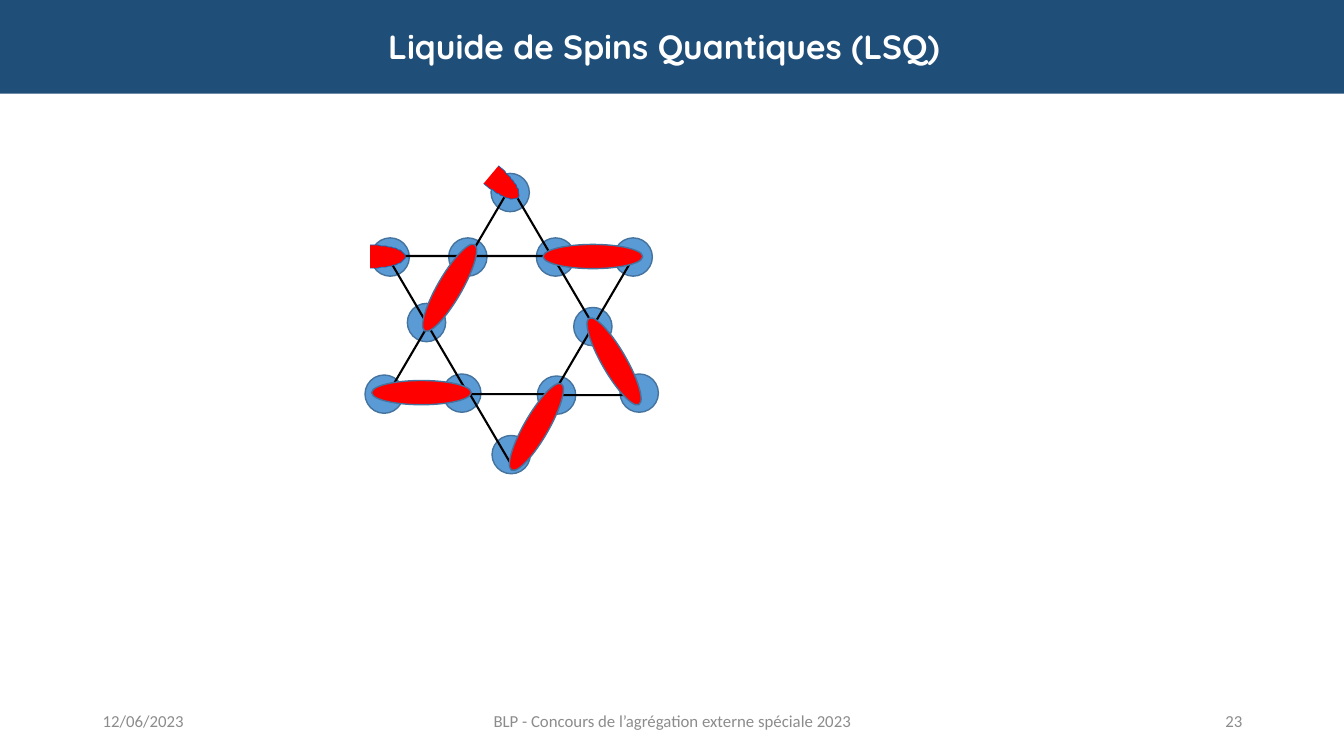
import math
from dataclasses import dataclass
from typing import NamedTuple

import pptx
import pptx.dml.color
import pptx.enum.shapes
import pptx.enum.text
import pptx.util

SHAPE = pptx.enum.shapes.MSO_SHAPE
ALIGN = pptx.enum.text.PP_ALIGN
EMU_PER_PX = 9144  # 100 px to the inch


@dataclass(frozen=True)
class Theme:
    banner: str = "1F4E79"
    white: str = "FFFFFF"
    footer: str = "8C8C8C"
    site: str = "5B9BD5"
    outline: str = "43739E"
    bond: str = "000000"
    dimer: str = "FF0000"
    cut_outline: str = "0070C0"
    title_font: str = "Quicksand"
    body_font: str = "Calibri"
    title_size: int = 24
    footer_size: int = 12


THEME = Theme()


class Box(NamedTuple):
    left: int
    top: int
    width: int
    height: int
    rotation: int = 0


class Label(NamedTuple):
    text: str
    box: Box
    align: ALIGN
    font: str
    size: int
    color: str
    bold: bool = False
    spacing: float = 1.0


def px(n: float) -> pptx.util.Emu:
    return pptx.util.Emu(round(n * EMU_PER_PX))


def rgb(color: str) -> pptx.dml.color.RGBColor:
    return pptx.dml.color.RGBColor.from_string(color)


def paint(sp, fill: str | None, line: str | None, width: float = 1) -> None:
    sp.shadow.inherit = False
    if fill:
        sp.fill.solid()
        sp.fill.fore_color.rgb = rgb(fill)
    else:
        sp.fill.background()
    if line:
        sp.line.color.rgb = rgb(line)
        sp.line.width = pptx.util.Pt(width)
    else:
        sp.line.fill.background()


def add_preset(shapes, kind: SHAPE, box: Box, fill: str | None,
               line: str | None, width: float = 1) -> None:
    sp = shapes.add_shape(kind, *map(px, box[:4]))
    sp.rotation = box.rotation
    paint(sp, fill, line, width)


def add_cut_dimer(shapes, box: Box) -> None:
    """Half an ellipse, flat on its right side before rotation."""
    steps = 40
    angles = [math.pi * i / steps for i in range(steps + 1)]
    points = [(box.left + box.width * (1 - math.sin(a)),
               box.top + box.height * (1 - math.cos(a)) / 2) for a in angles]
    builder = shapes.build_freeform(*points[0], scale=EMU_PER_PX)
    builder.add_line_segments(points[1:], close=False)
    sp = builder.convert_to_shape()
    sp.rotation = box.rotation
    paint(sp, THEME.dimer, THEME.cut_outline, 0.5)


def add_label(shapes, label: Label) -> None:
    tf = shapes.add_textbox(*map(px, label.box[:4])).text_frame
    tf.word_wrap = True
    tf.vertical_anchor = pptx.enum.text.MSO_ANCHOR.MIDDLE
    p = tf.paragraphs[0]
    p.text = label.text
    p.alignment = label.align
    p.line_spacing = label.spacing
    p.font.name = label.font
    p.font.size = pptx.util.Pt(label.size)
    p.font.bold = label.bold
    p.font.color.rgb = rgb(label.color)


FOOTER_STYLE = (THEME.body_font, THEME.footer_size, THEME.footer)
LABELS = [
    Label("12/06/2023", Box(92, 695, 300, 40), ALIGN.LEFT, *FOOTER_STYLE),
    Label("BLP - Concours de l’agrégation externe spéciale 2023",
          Box(442, 695, 450, 40), ALIGN.CENTER, *FOOTER_STYLE),
    Label("23", Box(942, 695, 300, 40), ALIGN.RIGHT, *FOOTER_STYLE),
    Label("Liquide de Spins Quantiques (LSQ)", Box(0, 8, 1317, 81), ALIGN.CENTER,
          THEME.title_font, THEME.title_size, THEME.white, True, 0.9),
]

# Top-left corners of the lattice sites
SITE_SIZE = 38
SITES = [(532, 236), (609, 236), (569, 305), (615, 371), (533, 373), (488, 432),
         (439, 371), (362, 372), (404, 301), (368, 236), (487, 172), (445, 236)]

# Star triangles as (column, row, rotation)
TRIANGLE_WIDTH, TRIANGLE_HEIGHT = 81, 69
COLUMNS = (384, 466, 548)
ROWS = (185, 254, 323, 391)
TRIANGLES = [(1, 0, 0), (2, 1, 180), (0, 1, 180), (0, 2, 0), (2, 2, 0), (1, 3, 180)]

# Dimers as (left, top, rotation)
DIMER_WIDTH, DIMER_LENGTH = 24, 99
DIMERS = [(434, 236, 30), (406, 340, 90), (520, 374, 210), (576, 205, 90), (597, 309, 150)]
CUT_DIMERS = [Box(367, 243, 35, 23, 180), Box(483, 173, 35, 23, 220)]


def add_lattice(shapes) -> None:
    for left, top in SITES:
        add_preset(shapes, SHAPE.OVAL, Box(left, top, SITE_SIZE, SITE_SIZE),
                   THEME.site, THEME.outline)
    for column, row, rotation in TRIANGLES:
        box = Box(COLUMNS[column], ROWS[row], TRIANGLE_WIDTH, TRIANGLE_HEIGHT, rotation)
        add_preset(shapes, SHAPE.ISOSCELES_TRIANGLE, box, None, THEME.bond, 1.5)
    for left, top, rotation in DIMERS:
        add_preset(shapes, SHAPE.OVAL, Box(left, top, DIMER_WIDTH, DIMER_LENGTH, rotation),
                   THEME.dimer, THEME.outline)
    for box in CUT_DIMERS:
        add_cut_dimer(shapes, box)


def main() -> None:
    prs = pptx.Presentation()
    prs.slide_width = pptx.util.Inches(13.33)
    prs.slide_height = pptx.util.Inches(7.5)
    s = prs.slides.add_slide(prs.slide_layouts[6])

    # Banner, title and footer
    add_preset(s.shapes, SHAPE.RECTANGLE, Box(0, 0, 1333, 93), THEME.banner, None)
    for label in LABELS:
        add_label(s.shapes, label)

    # Kagome star with its dimers
    add_lattice(s.shapes.add_group_shape().shapes)

    prs.save("out.pptx")


if __name__ == "__main__":
    main()
